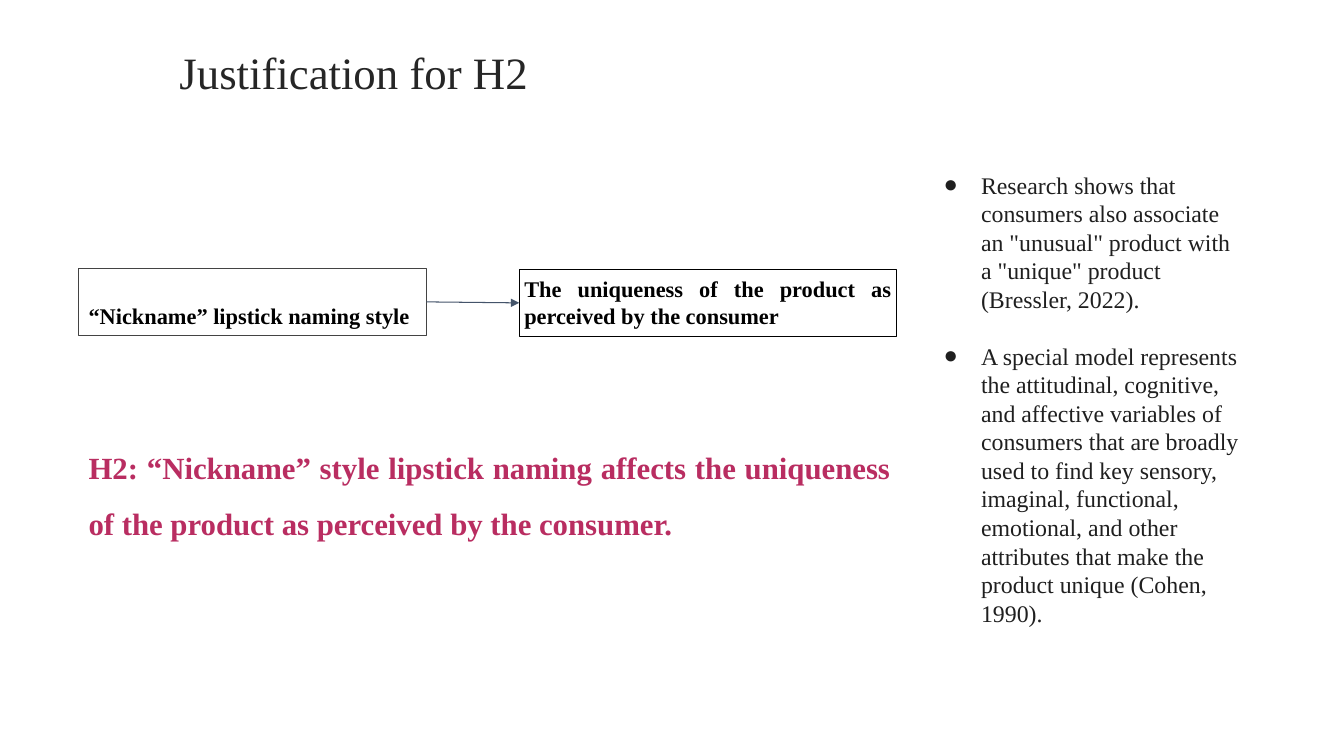
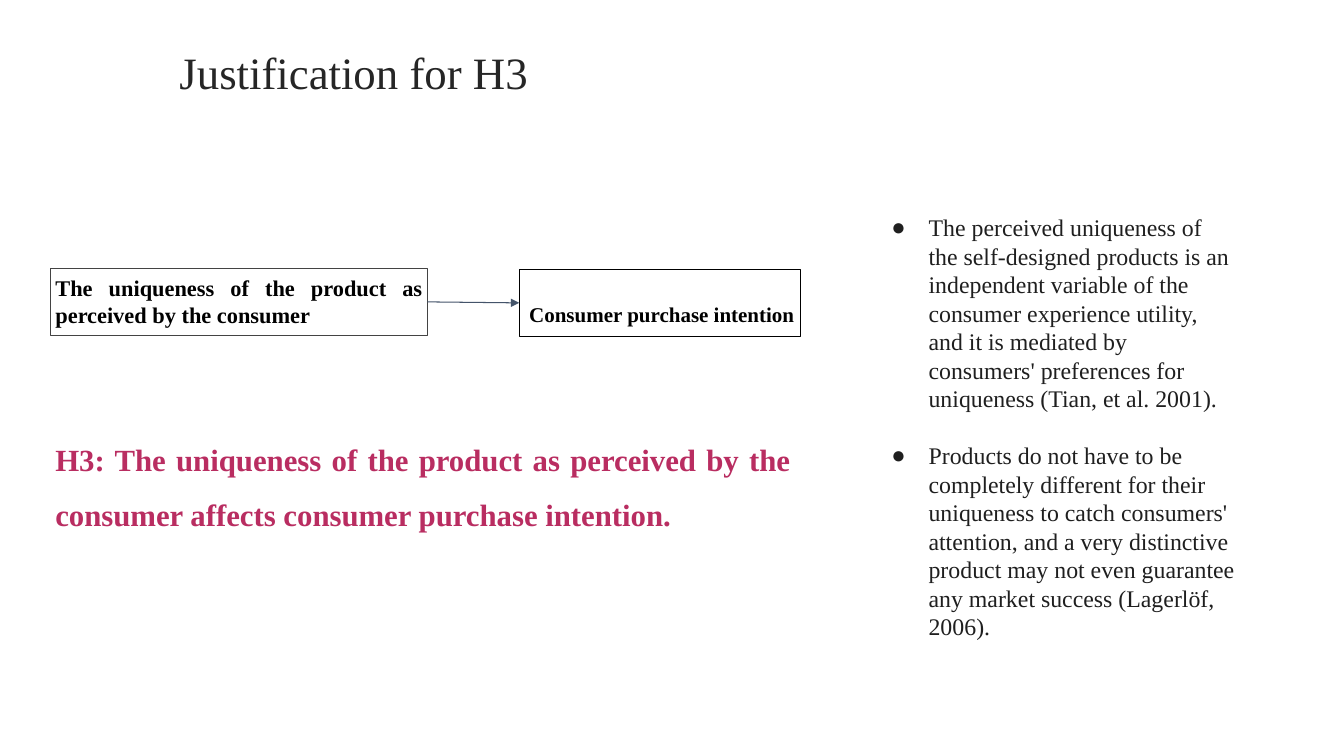
from lxml import etree
from pptx import Presentation
from pptx.dml.color import RGBColor
from pptx.enum.shapes import MSO_CONNECTOR, MSO_SHAPE
from pptx.enum.text import MSO_ANCHOR, MSO_AUTO_SIZE, PP_ALIGN
from pptx.oxml.ns import qn
from pptx.util import Emu, Pt

# Shared look: 100 px to the inch
SCALE = 9144
FONT = "Times New Roman"
BLACK, GREY, SLATE = "000000", "434343", "44546A"
HEAD, INK, ROSE = "262626", "1F1F1F", "B92D61"


def px(n):
    return Emu(n * SCALE)


def color(code):
    return RGBColor.from_string(code)


def place(shape, left, top, width, height):
    shape.left, shape.top = px(left), px(top)
    shape.width, shape.height = px(width), px(height)


def write(shape, *lines, size=16, ink=BLACK, bold=False, align=PP_ALIGN.LEFT,
          space=1.0, gap=0, pad=(10, 10, 10, 10), anchor=MSO_ANCHOR.TOP,
          dots=False):
    """Fill a shape with one paragraph a line; pad is left, top, right, bottom."""
    frame = shape.text_frame
    frame.word_wrap = True
    frame.auto_size = MSO_AUTO_SIZE.NONE
    frame.vertical_anchor = anchor
    (frame.margin_left, frame.margin_top,
     frame.margin_right, frame.margin_bottom) = map(px, pad)
    for i, line in enumerate(lines):
        par = frame.add_paragraph() if i else frame.paragraphs[0]
        if dots:
            bullet(par, ink)
        par.alignment, par.line_spacing = align, space
        par.space_before = Pt(gap if i else 0)
        run = par.add_run()
        run.text = line
        font = run.font
        font.name, font.size, font.bold = FONT, Pt(size), bold
        font.color.rgb = color(ink)


def bullet(par, ink):
    props = par._p.get_or_add_pPr()
    props.set("marL", str(px(50)))
    props.set("indent", str(px(-37)))
    tint = etree.SubElement(props, qn("a:buClr"))
    etree.SubElement(tint, qn("a:srgbClr"), val=ink)
    etree.SubElement(props, qn("a:buFont"), typeface=FONT)
    etree.SubElement(props, qn("a:buChar"), char="●")


def box(slide, left, top, width, line, text, size=16, tall=False):
    """Outlined box; a tall one holds two lines of text."""
    rect = slide.shapes.add_shape(
        MSO_SHAPE.RECTANGLE, px(left), px(top), px(width), px(67))
    rect.shadow.inherit = False
    rect.fill.background()
    rect.line.color.rgb = color(line)
    rect.line.width = Pt(0.75)
    write(rect, text, size=size, bold=True, align=PP_ALIGN.JUSTIFY,
          space=1.0 if tall else 1.5,
          pad=(5, 6, 5, 0) if tall else (10, 20, 0, 0))
    return rect


def arrow(slide, start, end):
    link = slide.shapes.add_connector(MSO_CONNECTOR.STRAIGHT, 0, 0, 0, 0)
    link.begin_connect(start, 3)
    link.end_connect(end, 1)
    link.line.color.rgb = color(SLATE)
    link.line.width = Pt(0.75)
    etree.SubElement(link.line._get_or_add_ln(), qn("a:tailEnd"),
                     type="triangle")
    etree.SubElement(link._element.spPr, qn("a:effectLst"))


def claim(slide, left, top, width, text):
    note = slide.shapes.add_textbox(px(left), px(top), px(width), px(113))
    write(note, text, size=22, ink=ROSE, bold=True,
          align=PP_ALIGN.JUSTIFY, space=1.5)


def start(deck, title, area, points):
    """New slide with its title and its list of reasons."""
    slide = deck.slides.add_slide(deck.slide_layouts[1])
    head, body = slide.placeholders
    place(head, 168, 37, 808, 66)
    write(head, title, size=32, ink=HEAD, pad=(10, 5, 10, 5),
          anchor=MSO_ANCHOR.BOTTOM)
    place(body, *area)
    write(body, *points, size=17, ink=INK, gap=20, dots=True)
    return slide


def main():
    deck = Presentation()
    deck.slide_width, deck.slide_height = px(1333), px(750)
    unique = "The uniqueness of the product as perceived by the consumer"

    # H2: naming style to uniqueness
    slide = start(deck, "Justification for H2", (913, 159, 332, 478), [
        'Research shows that consumers also associate an "unusual" product '
        'with a "unique" product (Bressler, 2022).',
        "A special model represents the attitudinal, cognitive, and affective "
        "variables of consumers that are broadly used to find key sensory, "
        "imaginal, functional, emotional, and other attributes that make the "
        "product unique (Cohen, 1990)."])
    cause = box(slide, 78, 266, 345, GREY, "“Nickname” lipstick naming style")
    effect = box(slide, 515, 267, 374, BLACK, unique, tall=True)
    arrow(slide, cause, effect)
    claim(slide, 78, 417, 815,
          "H2: “Nickname” style lipstick naming affects the uniqueness of "
          "the product as perceived by the consumer.")

    # H3: uniqueness to purchase
    slide = start(deck, "Justification for H3", (861, 201, 374, 449), [
        "The perceived uniqueness of the self-designed products is an "
        "independent variable of the consumer experience utility, and it is "
        "mediated by consumers' preferences for uniqueness "
        "(Tian, et al. 2001).",
        "Products do not have to be completely different for their uniqueness "
        "to catch consumers' attention, and a very distinctive product may "
        "not even guarantee any market success (Lagerlöf, 2006)."])
    cause = box(slide, 50, 266, 374, GREY, unique, tall=True)
    effect = box(slide, 515, 267, 279, BLACK, "Consumer purchase intention",
                 size=15)
    arrow(slide, cause, effect)
    claim(slide, 45, 409, 749,
          "H3: The uniqueness of the product as perceived by the consumer "
          "affects consumer purchase intention.")

    deck.save("out.pptx")


if __name__ == "__main__":
    main()
